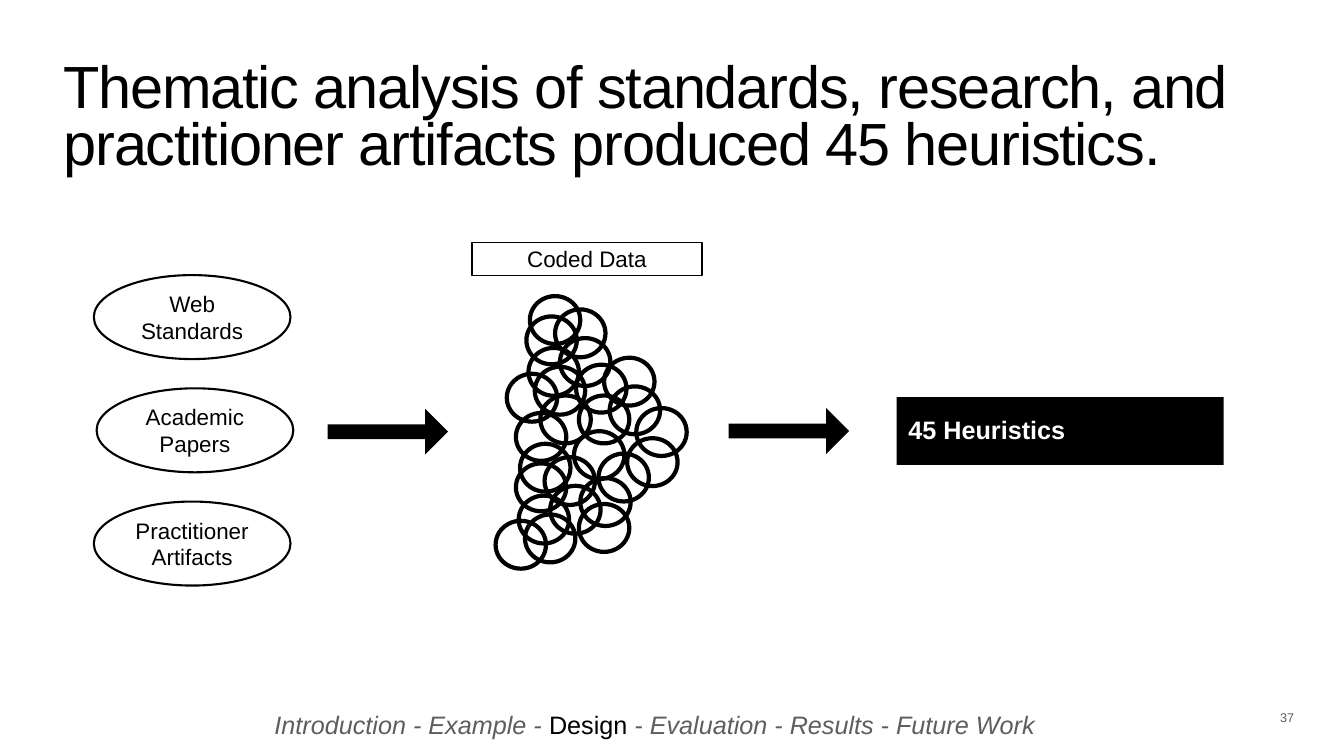
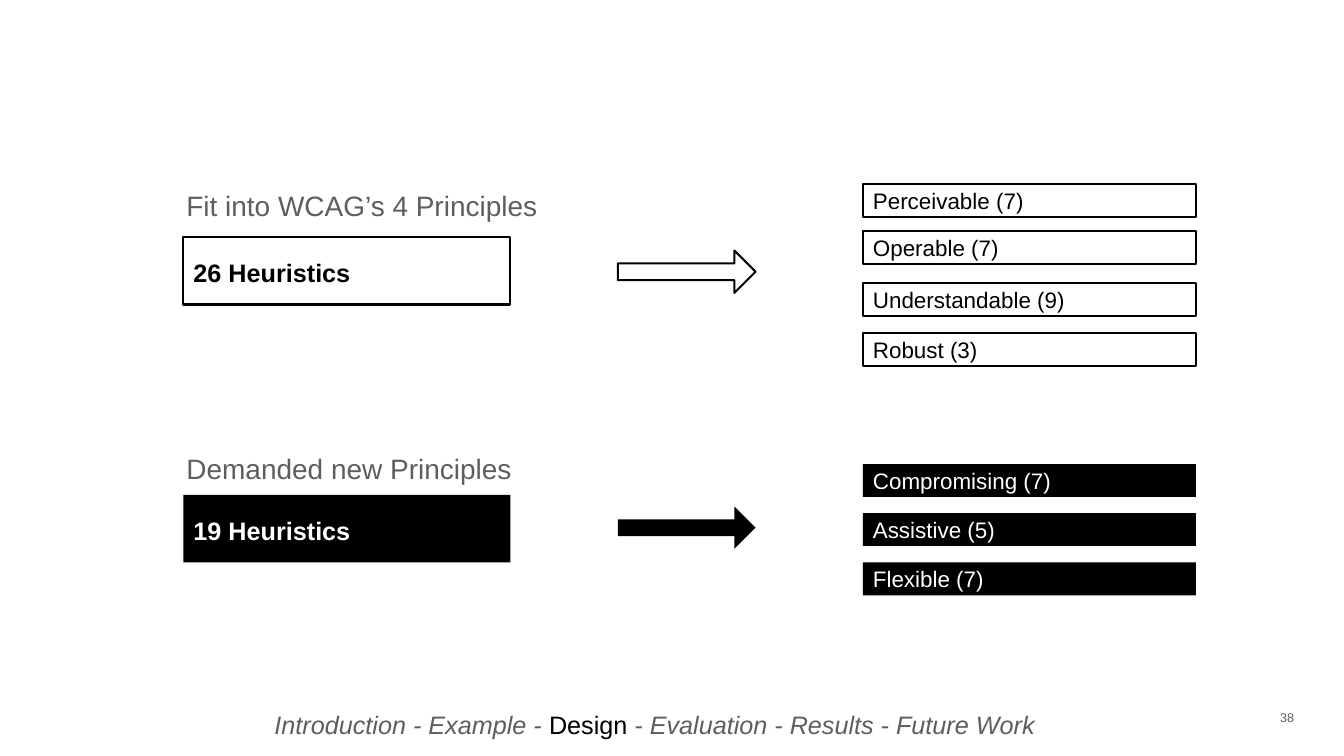
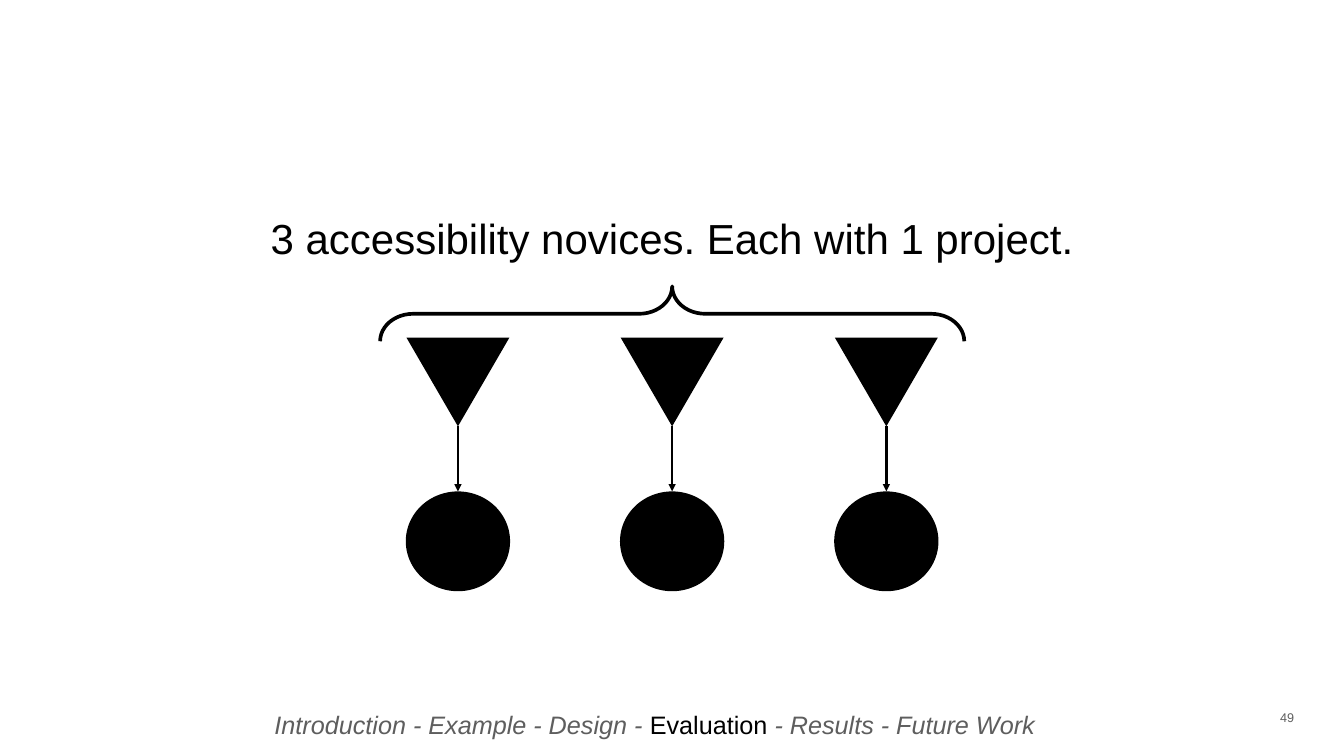
from dataclasses import dataclass
from typing import Any, Optional, Sequence, Union

import lxml.etree
import pptx
import pptx.dml.color
import pptx.enum.shapes
import pptx.enum.text
import pptx.oxml.ns
import pptx.util

Pt = pptx.util.Pt
Preset = pptx.enum.shapes.MSO_SHAPE
Align = pptx.enum.text.PP_ALIGN
Anchor = pptx.enum.text.MSO_ANCHOR

PAGE_WIDTH, PAGE_HEIGHT = 1920, 1080
FONT = "Arial"
BLACK, WHITE, GREY = "000000", "FFFFFF", "5E5E5E"
INSET = 4.3
LABEL_INSET = 14.4
SECTIONS = ["Introduction", "Example", "Design", "Evaluation", "Results", "Future Work"]


@dataclass(frozen=True)
class Box:
    left: float
    top: float
    width: float
    height: float

    def points(self) -> list[int]:
        return [Pt(side) for side in (self.left, self.top, self.width, self.height)]


@dataclass(frozen=True)
class Span:
    text: str
    color: str
    italic: bool = False


@dataclass(frozen=True)
class HeuristicBar:
    text: str
    bar: Box
    label: Box
    filled: bool = True
    align: Any = Align.LEFT
    inset: float = LABEL_INSET


CODE_SIZE = (72, 68.4)
CODE_POSITIONS = [
    (757, 423), (800, 483), (793, 442), (755, 497), (752, 452), (772, 565), (764, 524),
    (737, 590), (724, 534), (871, 552), (863, 511), (827, 565), (823, 521), (743, 634),
    (786, 694), (778, 653), (741, 708), (737, 662), (829, 683), (750, 735), (827, 720),
    (708, 744), (855, 648), (820, 616), (909, 583), (896, 626),
]


def rgb(color: str) -> pptx.dml.color.RGBColor:
    return pptx.dml.color.RGBColor.from_string(color)


def write(shape: Any, text: Union[str, Sequence[Span]], *, size: float, color: str = BLACK,
          bold: bool = False, align: Any = Align.LEFT, anchor: Any = Anchor.MIDDLE,
          left_inset: float = INSET, right_inset: float = INSET,
          line_spacing: Optional[float] = None, tracking: float = 0) -> None:
    """Fill a shape with one paragraph; tracking is letter spacing in points."""
    frame = shape.text_frame
    frame.word_wrap = True
    frame.vertical_anchor = anchor
    frame.margin_left, frame.margin_right = Pt(left_inset), Pt(right_inset)
    frame.margin_top = frame.margin_bottom = Pt(INSET)
    para = frame.paragraphs[0]
    para.alignment = align
    if line_spacing:
        para.line_spacing = line_spacing
    spans = [Span(text, color)] if isinstance(text, str) else text
    for span in spans:
        run = para.add_run()
        run.text = span.text
        run.font.name, run.font.size = FONT, Pt(size)
        run.font.bold, run.font.italic = bold, span.italic
        run.font.color.rgb = rgb(span.color)
        if tracking:
            run._r.get_or_add_rPr().set("spc", str(round(tracking * 100)))


def add_text(page: Any, box: Box, text: Union[str, Sequence[Span]], **style: Any) -> None:
    write(page.shapes.add_textbox(*box.points()), text, **style)


def add_shape(parent: Any, preset: Any, box: Box, *, fill: Optional[str] = None,
              line_width: float = 0, adjustments: Sequence[float] = ()) -> Any:
    shape = parent.shapes.add_shape(preset, *box.points())
    shape.shadow.inherit = False
    for index, value in enumerate(adjustments):
        shape.adjustments[index] = value
    if fill:
        shape.fill.solid()
        shape.fill.fore_color.rgb = rgb(fill)
    else:
        shape.fill.background()
    if line_width:
        shape.line.color.rgb = rgb(BLACK)
        shape.line.width = Pt(line_width)
    else:
        shape.line.fill.background()
    return shape


def add_block(page: Any, preset: Any, box: Box, filled: bool, **style: Any) -> Any:
    """Draw a solid black shape, or a white one with a black outline."""
    return add_shape(page, preset, box, fill=BLACK if filled else WHITE,
                     line_width=0 if filled else 3, **style)


def add_heuristic_bar(page: Any, item: HeuristicBar) -> None:
    add_block(page, Preset.RECTANGLE, item.bar, item.filled)
    add_text(page, item.label, item.text, size=36, bold=True, align=item.align,
             color=WHITE if item.filled else BLACK, left_inset=item.inset)


def add_down_arrow(parent: Any, x: float, top: float, bottom: float) -> None:
    arrow = parent.shapes.add_connector(pptx.enum.shapes.MSO_CONNECTOR.STRAIGHT,
                                        Pt(x), Pt(top), Pt(x), Pt(bottom))
    arrow.line.color.rgb = rgb(BLACK)
    arrow.line.width = Pt(3.5)
    lxml.etree.SubElement(arrow.line._get_or_add_ln(), pptx.oxml.ns.qn("a:tailEnd"),
                          type="triangle")
    lxml.etree.SubElement(arrow._element.spPr, pptx.oxml.ns.qn("a:effectLst"))


def add_footer(page: Any, number: int, current: str) -> None:
    """Add the page number and the section trail with the current section upright."""
    add_text(page, Box(1806.5, 1009.5, 47.5, 50.4), str(number), size=18, color=GREY,
             anchor=Anchor.TOP, left_inset=22.3, right_inset=0)
    place = SECTIONS.index(current)
    trail = [
        Span(" - ".join(SECTIONS[:place]) + " - ", GREY, italic=True),
        Span(current, BLACK),
        Span(" - " + " - ".join(SECTIONS[place + 1:]), GREY, italic=True),
    ]
    add_text(page, Box(65.5, 1009.5, 1759.7, 50.4), trail, size=36, align=Align.CENTER,
             anchor=Anchor.TOP, left_inset=3.6, right_inset=23.6)


def add_page(deck: Any) -> Any:
    page = deck.slides.add_slide(deck.slide_layouts[6])
    page.background.fill.solid()
    page.background.fill.fore_color.rgb = rgb(WHITE)
    return page


def build_analysis(page: Any) -> None:
    add_text(page, Box(86.4, 85, 1743.8, 257.8),
             "Thematic analysis of standards, research, and practitioner artifacts "
             "produced 45 heuristics.",
             size=85, anchor=Anchor.TOP, line_spacing=0.8, tracking=-1.7)

    sources = [("Web Standards", 134), ("Academic Papers", 138), ("Practitioner Artifacts", 134)]
    for row, (source, left) in enumerate(sources):
        oval = add_shape(page, Preset.OVAL, Box(left, 393 + 161.75 * row, 281, 120), line_width=3)
        write(oval, source, size=32, align=Align.CENTER)

    caption = add_shape(page, Preset.RECTANGLE, Box(674, 346.5, 329, 47), fill=WHITE,
                        line_width=2.25)
    write(caption, "Coded Data", size=32, align=Align.CENTER)
    codes = page.shapes.add_group_shape()
    for left, top in CODE_POSITIONS:
        add_shape(codes, Preset.OVAL, Box(left, top, *CODE_SIZE), line_width=6)

    for left, top in [(468, 584), (1041, 583)]:
        add_block(page, Preset.RIGHT_ARROW, Box(left, top, 172, 65.5), True,
                  adjustments=(0.32, 0.5))
    add_heuristic_bar(page, HeuristicBar(
        "45 Heuristics", Box(1281, 567.5, 467, 96.5), Box(1273, 587.5, 273.6, 52),
        align=Align.CENTER, inset=INSET))


@dataclass(frozen=True)
class PrincipleGroup:
    heading: str
    heading_top: float
    bar_text: str
    bar_top: float
    arrow_top: float
    principles: Sequence[tuple[str, float]]
    filled: bool


PRINCIPLE_GROUPS = [
    PrincipleGroup("Fit into WCAG’s 4 Principles", 265, "26 Heuristics", 338.5, 358,
                   [("Perceivable (7)", 263.5), ("Operable (7)", 330),
                    ("Understandable (9)", 404), ("Robust (3)", 476)], False),
    PrincipleGroup("Demanded new Principles", 640, "19 Heuristics", 707, 723.6,
                   [("Compromising (7)", 663), ("Assistive (5)", 733),
                    ("Flexible (7)", 803.5)], True),
]


def build_principles(page: Any) -> None:
    left = 262
    for group in PRINCIPLE_GROUPS:
        for principle, top in group.principles:
            block = add_block(page, Preset.RECTANGLE, Box(1232.6, top, 476, 47), group.filled)
            write(block, principle, size=32, color=WHITE if group.filled else BLACK,
                  left_inset=LABEL_INSET)
        add_block(page, Preset.RIGHT_ARROW, Box(882.7, group.arrow_top, 196.6, 60.5),
                  group.filled, adjustments=(0.395, 0.5))
        add_heuristic_bar(page, HeuristicBar(
            group.bar_text, Box(left, group.bar_top, 467, 96.5),
            Box(left, group.bar_top + 25, 467, 52), group.filled))
        add_text(page, Box(left, group.heading_top, 795, 57), group.heading, size=40, color=GREY)


def build_novices(page: Any) -> None:
    novice_top, novice_width, novice_height = 482.4, 147, 126.7
    project_top, project_width, project_height = 702, 149, 142.6
    pairs = page.shapes.add_group_shape()
    for column in range(3):
        center = 654.2 + 306 * column
        add_shape(pairs, Preset.OVAL, Box(center - project_width / 2, project_top,
                                          project_width, project_height), fill=BLACK)
        novice = add_shape(pairs, Preset.ISOSCELES_TRIANGLE,
                           Box(center - novice_width / 2, novice_top,
                               novice_width, novice_height), fill=BLACK)
        novice._element.spPr.xfrm.set("flipV", "1")
        add_down_arrow(pairs, center, novice_top + novice_height, project_top)

    brace = add_shape(page, Preset.RIGHT_BRACE, Box(921, 31, 78.5, 834.5), line_width=5.25,
                      adjustments=(0.603, 0.5))
    brace.rotation = 270
    add_text(page, Box(340.6, 299, 1239, 80.6), "3 accessibility novices. Each with 1 project.",
             size=60, align=Align.CENTER)


def main() -> None:
    deck = pptx.Presentation()
    deck.slide_width, deck.slide_height = Pt(PAGE_WIDTH), Pt(PAGE_HEIGHT)
    pages = [
        (build_analysis, 37, "Design"),
        (build_principles, 38, "Design"),
        (build_novices, 49, "Evaluation"),
    ]
    for build, number, section in pages:
        page = add_page(deck)
        build(page)
        add_footer(page, number, section)
    deck.save("out.pptx")


if __name__ == "__main__":
    main()
